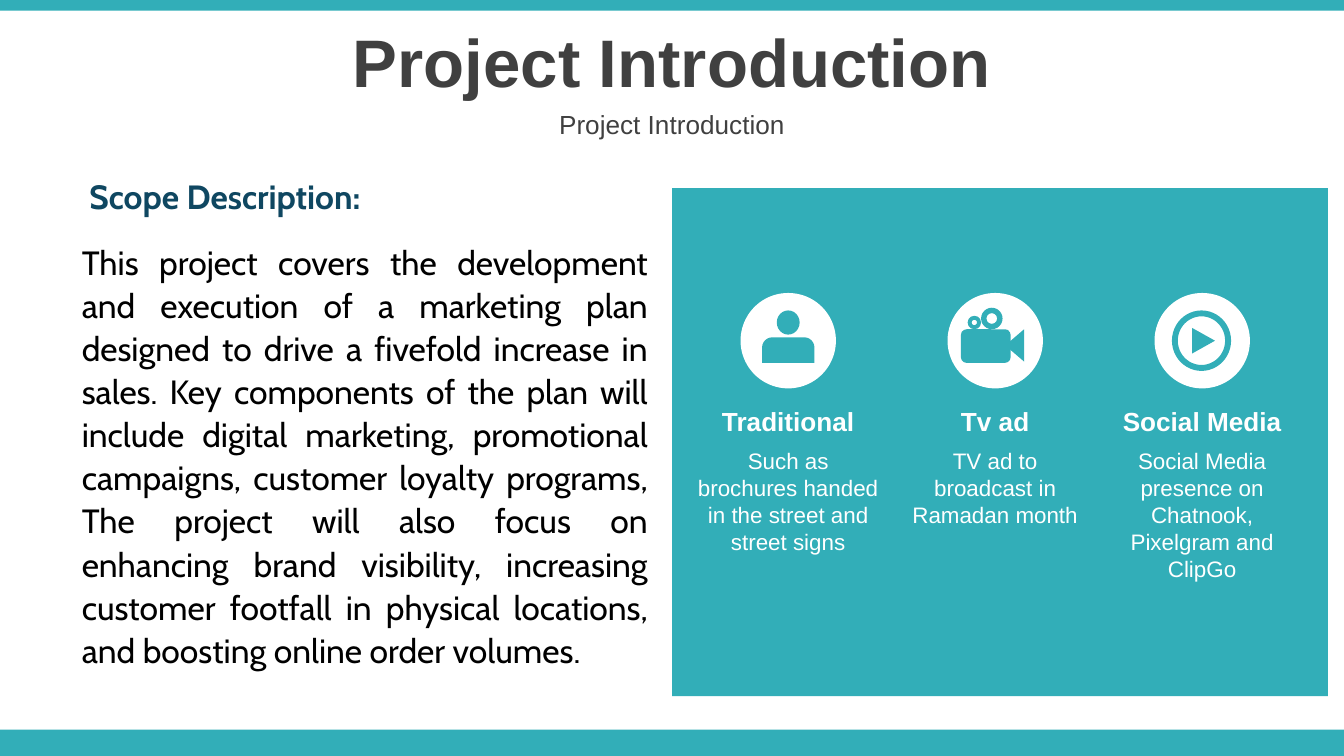
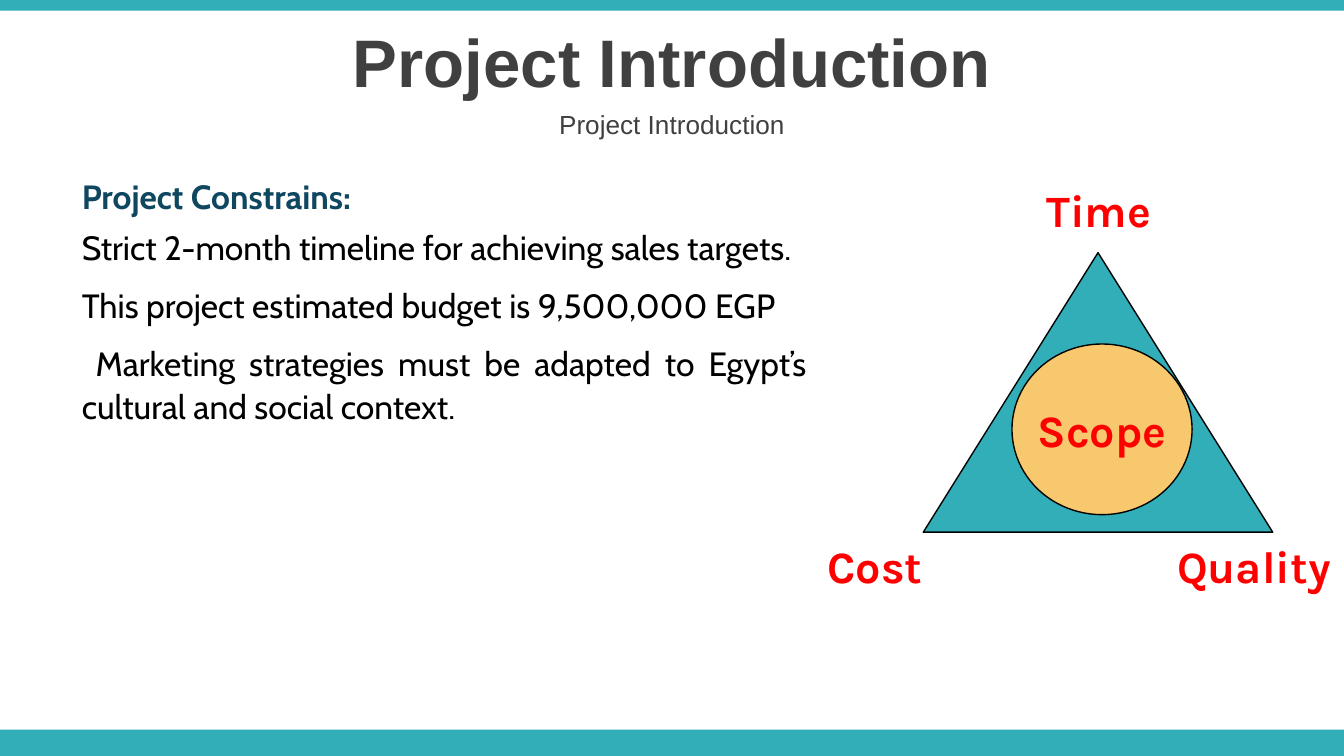
from pptx import Presentation
from pptx import util as u
from pptx.dml.color import RGBColor
from pptx.enum import shapes, text

PX = 9144  # 100 px to the inch
TEAL, WHITE, BLACK = "32AEB8", "FFFFFF", "000000"
GREY, NAVY, RED, GOLD = "404040", "0F4761", "FF0000", "F7C86E"
KIND, ALIGN = shapes.MSO_SHAPE, text.PP_ALIGN
hue = RGBColor.from_string


def draw(slide, kind, box, fill=None, line=None, adj=None, turn=0):
    """Add a preset shape, or a wrapping text box if kind is None."""
    place = [n * PX for n in box]
    if kind is None:
        item = slide.shapes.add_textbox(*place)
        item.text_frame.word_wrap = True
        return item
    item = slide.shapes.add_shape(kind, *place)
    item.shadow.inherit = False
    item.rotation = turn
    item.fill.solid()
    item.fill.fore_color.rgb = hue(fill)
    if line:
        item.line.color.rgb = hue(line)
        item.line.width = u.Pt(0.75)
    else:
        item.line.fill.background()
    if adj is not None:
        item.adjustments[0] = adj
    return item


def write(item, words, size=18, font="Arial", color=BLACK, bold=False,
          align=ALIGN.CENTER, lead=None, before=0, after=0, anchor=None):
    """Fill the first paragraph of item, or add one below the last."""
    frame = item.text_frame
    par = frame.paragraphs[0]
    if par.runs:
        par = frame.add_paragraph()
    par.text = words
    par.alignment = align
    par.space_before, par.space_after = u.Pt(before), u.Pt(after)
    if lead:
        par.line_spacing = lead
    if anchor:
        frame.vertical_anchor = anchor
    for run in par.runs:
        run.font.size = u.Pt(size)
        run.font.name = font
        run.font.bold = bold
        run.font.color.rgb = hue(color)


deck = Presentation()
deck.slide_width, deck.slide_height = 1000 * PX, u.Inches(5.625)
mid = text.MSO_ANCHOR.MIDDLE
body = dict(font="Cabin", align=ALIGN.JUSTIFY, lead=1.07)
label = dict(size=24, font="Karla", color=RED, bold=True)

# Shared bands and titles
pages = []
for _ in range(2):
    page = deck.slides.add_slide(deck.slide_layouts[6])
    draw(page, KIND.RECTANGLE, (0, 543, 1000, 20), TEAL)
    draw(page, KIND.RECTANGLE, (0, 0, 1000, 8), TEAL)
    for top, high, size, bold in ((14, 63, 36, True), (77, 31, 14, False)):
        write(draw(page, None, (0, top, 1000, high)), "Project Introduction",
              size=size, color=GREY, bold=bold, anchor=mid)
    pages.append(page)
scope, limits = pages

# Scope slide
note = draw(scope, None, (51, 124, 441, 420))
write(note, " Scope Description:", color=NAVY, bold=True,
      before=8, after=4, **body)
write(note,
      "This project covers the development\v"
      "and execution of a marketing plan\v"
      "designed to drive a fivefold increase in sales. Key components of "
      "the plan will include digital marketing, promotional campaigns, "
      "customer loyalty programs, The project will also focus on\v"
      "enhancing brand visibility, increasing\v"
      "customer footfall in physical locations, and boosting online order "
      "volumes.", before=8, after=4, **body)

draw(scope, KIND.RECTANGLE, (500, 140, 488, 378), TEAL)
media = (
    ("Traditional", "Such as brochures handed in the street and street signs",
     91),
    ("Tv ad", "TV ad to broadcast in Ramadan month", 71),
    ("Social Media", "Social Media presence on Chatnook, Pixelgram and ClipGo",
     111),
)
for i, (head, words, high) in enumerate(media):
    left = 508 + 154 * i
    draw(scope, KIND.OVAL, (left + 43, 218, 71, 71), WHITE)
    write(draw(scope, None, (left, 328, 157, high)), words,
          size=12, color=WHITE)
    write(draw(scope, None, (left, 297, 157, 34)), head,
          size=14, color=WHITE, bold=True)

icons = (
    # person
    (KIND.OVAL, (578, 231, 17, 18), None, 0),
    (KIND.ROUND_2_SAME_RECTANGLE, (567, 251, 39, 19), 0.4, 0),
    # film camera
    (KIND.DONUT, (720, 235, 10, 10), 0.3, 0),
    (KIND.DONUT, (730, 229, 16, 16), 0.25, 0),
    (KIND.ROUNDED_RECTANGLE, (715, 245, 37, 25), 0.17, 0),
    (KIND.ISOSCELES_TRIANGLE, (743, 250, 24, 14), None, 270),
    # play button
    (KIND.DONUT, (872, 231, 44, 45), 0.1, 0),
    (KIND.ISOSCELES_TRIANGLE, (886, 245, 19, 17), None, 90),
)
for kind, box, adj, turn in icons:
    draw(scope, kind, box, TEAL, adj=adj, turn=turn)

# Constraints slide
note = draw(limits, None, (51, 124, 559, 243))
write(note, "Project Constrains:", color=NAVY, bold=True,
      before=8, after=4, **body)
for words in (
    "Strict 2-month timeline for achieving sales targets.",
    "This project estimated budget is 9,500,000 EGP",
    " Marketing strategies must be adapted to Egypt’s cultural and social "
    "context.",
):
    write(note, words, after=8, **body)

draw(limits, KIND.ISOSCELES_TRIANGLE, (687, 188, 260, 208), TEAL, BLACK)
for words, box in (
    ("Time", (742, 131, 151, 50)),
    ("Quality", (839, 396, 188, 50)),
    ("Cost", (579, 396, 144, 50)),
):
    write(draw(limits, None, box), words, **label)
core = draw(limits, KIND.OVAL, (753, 256, 134, 127), GOLD, BLACK)
core.text_frame.word_wrap = False
write(core, "Scope", anchor=mid, **label)

deck.save("out.pptx")
